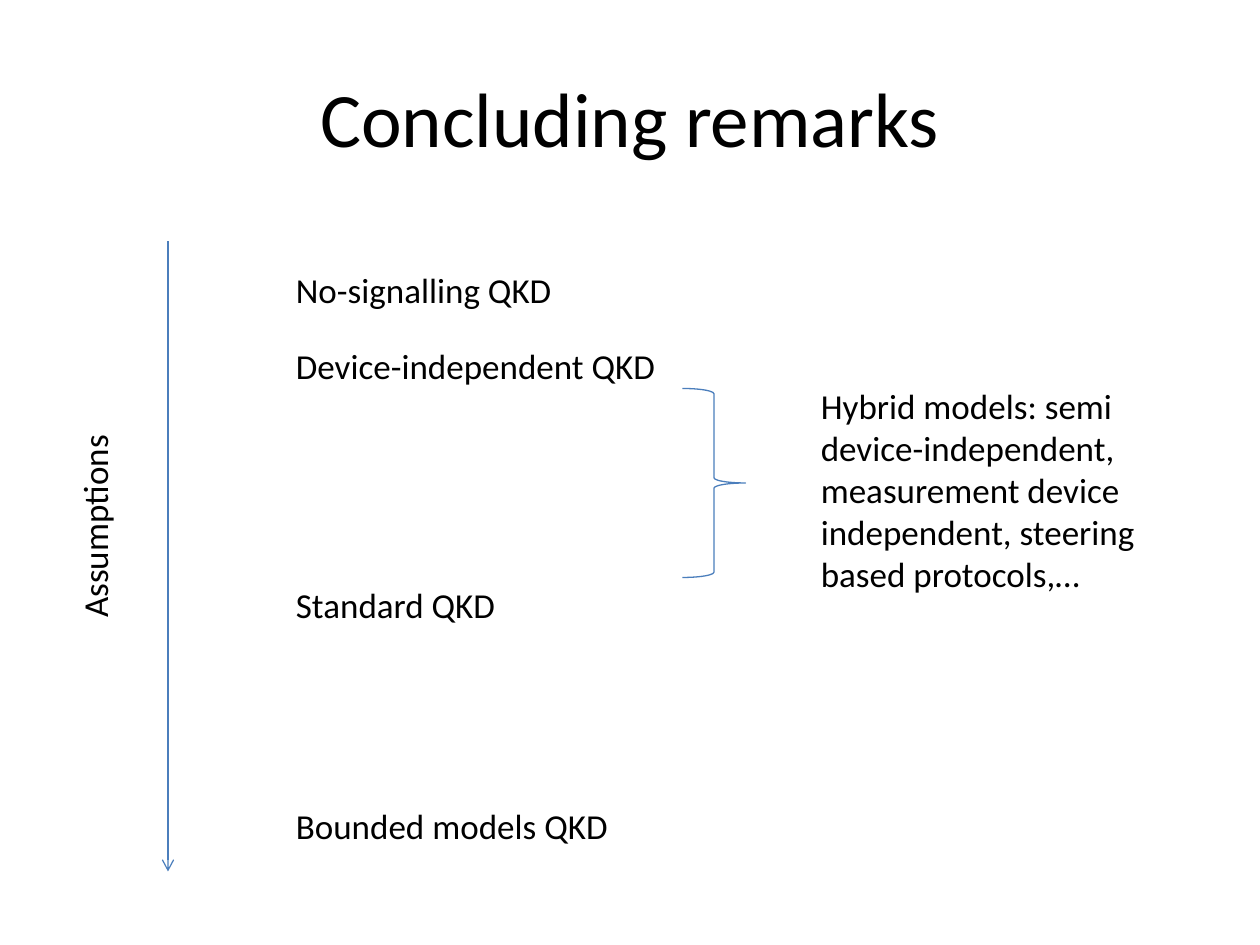
from dataclasses import dataclass

from lxml.etree import SubElement
from pptx import Presentation
from pptx.dml.color import RGBColor
from pptx.enum.shapes import MSO_CONNECTOR, MSO_SHAPE
from pptx.enum.text import MSO_ANCHOR, MSO_AUTO_SIZE, PP_ALIGN
from pptx.oxml.ns import qn
from pptx.slide import Slide
from pptx.util import Inches, Pt


def color(value):
    """Turn a hex string into a colour."""
    return RGBColor.from_string(value)


def grid(*cells):
    """Turn grid columns or rows, twelve to the inch, into lengths."""
    return [Inches(cell / 12) for cell in cells]


@dataclass
class Sketch:
    """Style and current page, with one method per kind of element."""

    page: Slide
    font: str = "Calibri"
    ink: str = "000000"
    accent: str = "4B7EBC"
    line_width: float = 0.75
    body_size: int = 20

    def add_text(self, frame, text, size):
        """Fill a text frame with one styled run."""
        frame.word_wrap = True
        para = frame.paragraphs[0]
        span = para.add_run()
        span.text = text
        span.font.name = self.font
        span.font.size = Pt(size)
        span.font.color.rgb = color(self.ink)
        return para

    def stroke(self, line):
        """Apply the accent line style."""
        line.color.rgb = color(self.accent)
        line.width = Pt(self.line_width)

    def title(self, text, left, top, width, height):
        """Place and fill the title placeholder."""
        box = self.page.shapes.title
        box.left, box.top, box.width, box.height = grid(left, top, width, height)
        box.text_frame.vertical_anchor = MSO_ANCHOR.MIDDLE
        self.add_text(box.text_frame, text, 44).alignment = PP_ALIGN.CENTER

    def label(self, text, left, top, width, height=5.25, rotation=0):
        """Add a body text box."""
        box = self.page.shapes.add_textbox(*grid(left, top, width, height))
        box.rotation = rotation
        self.add_text(box.text_frame, text, self.body_size)
        box.text_frame.auto_size = MSO_AUTO_SIZE.SHAPE_TO_FIT_TEXT

    def arrow(self, *ends):
        """Add a straight line with an open arrowhead at its end."""
        connector = self.page.shapes.add_connector(MSO_CONNECTOR.STRAIGHT, *grid(*ends))
        self.stroke(connector.line)
        properties = connector._element.spPr
        SubElement(properties.find(qn("a:ln")), qn("a:tailEnd"), type="arrow")
        SubElement(properties, qn("a:effectLst"))

    def brace(self, *place):
        """Add an unfilled right brace."""
        brace = self.page.shapes.add_shape(MSO_SHAPE.RIGHT_BRACE, *grid(*place))
        brace.shadow.inherit = False
        brace.fill.background()
        self.stroke(brace.line)


def main():
    """Build the slide on protocol assumptions."""
    deck = Presentation()
    deck.slide_width, deck.slide_height = Inches(10), Inches(7.5)
    sketch = Sketch(deck.slides.add_slide(deck.slide_layouts[5]))

    sketch.title("Concluding remarks", 6, 3.6, 108, 15)
    sketch.arrow(16, 23, 16, 83)
    sketch.label("Assumptions", -4, 44.4, 26, rotation=270)
    protocols = [
        ("No-signalling QKD", 25, 38),
        ("Device-independent QKD", 32.2, 41),
        ("Standard QKD", 55, 35),
        ("Bounded models QKD", 76, 35),
    ]
    for name, top, width in protocols:
        sketch.label(name, 27, top, width)
    sketch.brace(65, 37, 6, 18)
    sketch.label(
        "Hybrid models: semi device-independent, measurement device "
        "independent, steering based protocols,…",
        77, 36, 35, 21.4,
    )
    deck.save("out.pptx")


if __name__ == "__main__":
    main()
